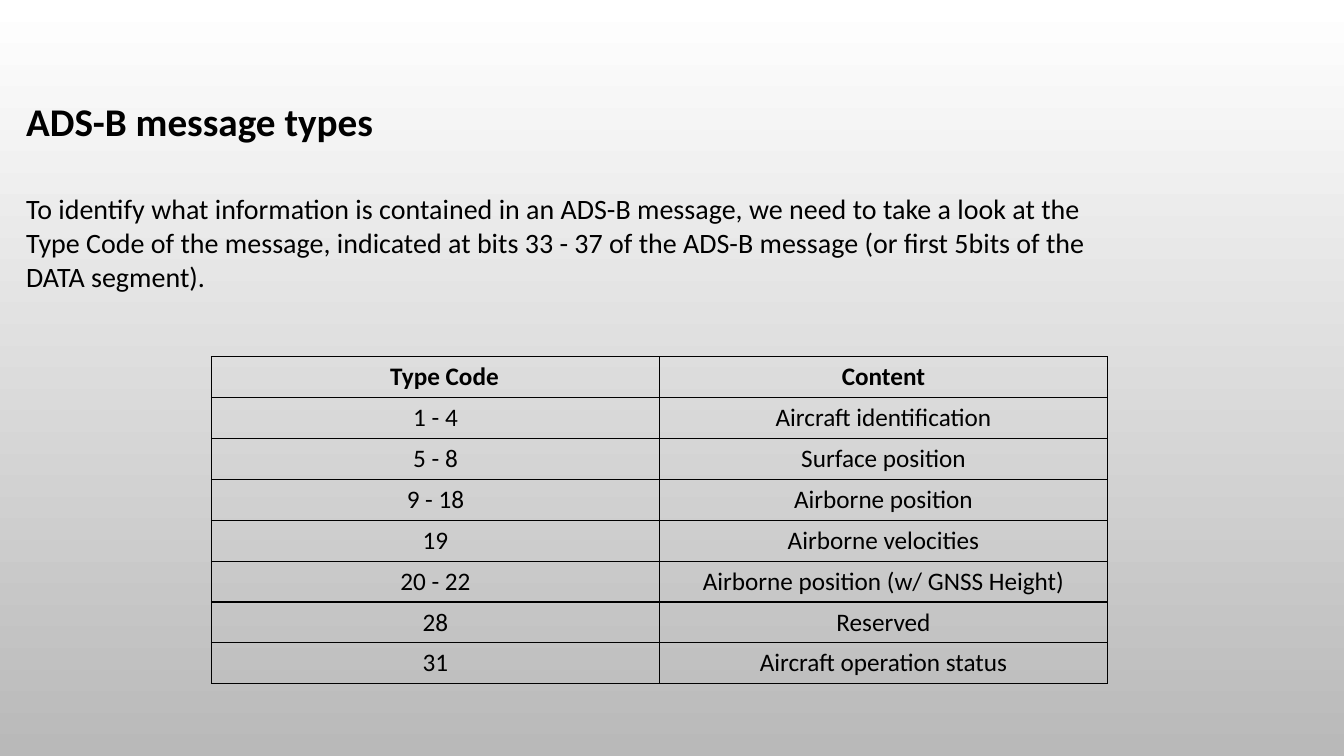
"""Build the slide on ADS-B message types."""
from lxml.etree import SubElement
from pptx import Presentation
from pptx.dml.color import RGBColor
from pptx.enum.text import PP_ALIGN
from pptx.oxml.ns import qn
from pptx.util import Cm, Pt

BLACK = RGBColor(0, 0, 0)
WHITE = RGBColor(255, 255, 255)
GREY = RGBColor(0xB9, 0xB9, 0xB9)

TITLE = "ADS-B message types"
BODY = (
    "To identify what information is contained in an ADS-B message, "
    "we need to take a look at the Type Code of the message, indicated at "
    "bits 33 - 37 of the ADS-B message (or first 5bits of the DATA segment)."
)
ROWS = [
    ("Type Code", "Content"),
    ("1 - 4", "Aircraft identification"),
    ("5 - 8", "Surface position"),
    ("9 - 18", "Airborne position"),
    ("19", "Airborne velocities"),
    ("20 - 22", "Airborne position (w/ GNSS Height)"),
    ("28", "Reserved"),
    ("31", "Aircraft operation status"),
]
FONT = {"name": "Calibri"}
HEAD = {**FONT, "size": Pt(28), "bold": True}
TEXT = {**FONT, "size": Pt(20), "bold": False}
CELL = {**FONT, "size": Pt(18)}
PLAIN = {"first_row": False, "horz_banding": False}
COL_W, ROW_H = 11.29, 1.03


def set_all(item, look):
    for key, value in look.items():
        setattr(item, key, value)


def write(para, text, look):
    run = para.add_run()
    run.text = text
    set_all(run.font, look)
    run.font.color.rgb = BLACK


def add_edges(cell):
    props = cell._tc.get_or_add_tcPr()
    for side in "LRTB":
        line = SubElement(props, qn(f"a:ln{side}"), w=str(Pt(1)))
        fill = SubElement(line, qn("a:solidFill"))
        SubElement(fill, qn("a:srgbClr"), val=str(BLACK))


def add_back(slide):
    fill = slide.background.fill
    fill.gradient()
    fill.gradient_angle = 270
    for stop, color, place in zip(fill.gradient_stops, (WHITE, GREY), (0, 1)):
        stop.color.rgb = color
        stop.position = place


def add_text(slide):
    box = slide.shapes.add_textbox(Cm(0.41), Cm(1.55), Cm(28.12), Cm(13.41))
    frame = box.text_frame
    set_all(frame, {"word_wrap": True, "margin_top": Cm(0.9)})
    write(frame.paragraphs[0], TITLE, HEAD)
    para = frame.add_paragraph()
    para.space_before = Pt(34)
    write(para, BODY, TEXT)


def add_codes(slide):
    count, wide = len(ROWS), len(ROWS[0])
    table = slide.shapes.add_table(
        count, wide, Cm(5.33), Cm(8.99), Cm(COL_W * wide), Cm(ROW_H * count)
    ).table
    set_all(table, PLAIN)
    for r, row in enumerate(ROWS):
        for c, text in enumerate(row):
            cell = table.cell(r, c)
            add_edges(cell)
            cell.fill.background()
            para = cell.text_frame.paragraphs[0]
            para.alignment = PP_ALIGN.CENTER
            write(para, text, {**CELL, "bold": r == 0})
    table.cell(0, 0).margin_left = Cm(0.71)


def main():
    deck = Presentation()
    set_all(deck, {"slide_width": Cm(33.87), "slide_height": Cm(19.05)})
    slide = deck.slides.add_slide(deck.slide_layouts[6])
    add_back(slide)
    add_text(slide)
    add_codes(slide)
    deck.save("out.pptx")


if __name__ == "__main__":
    main()
